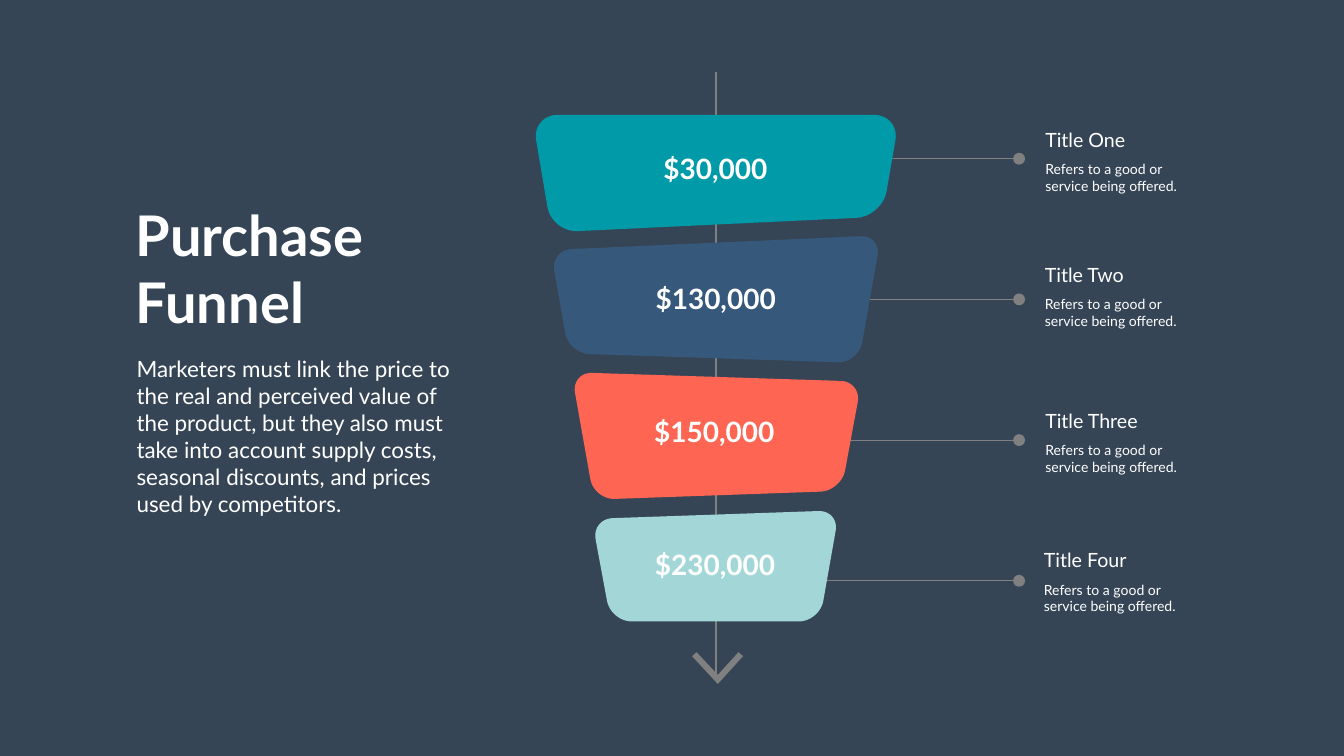
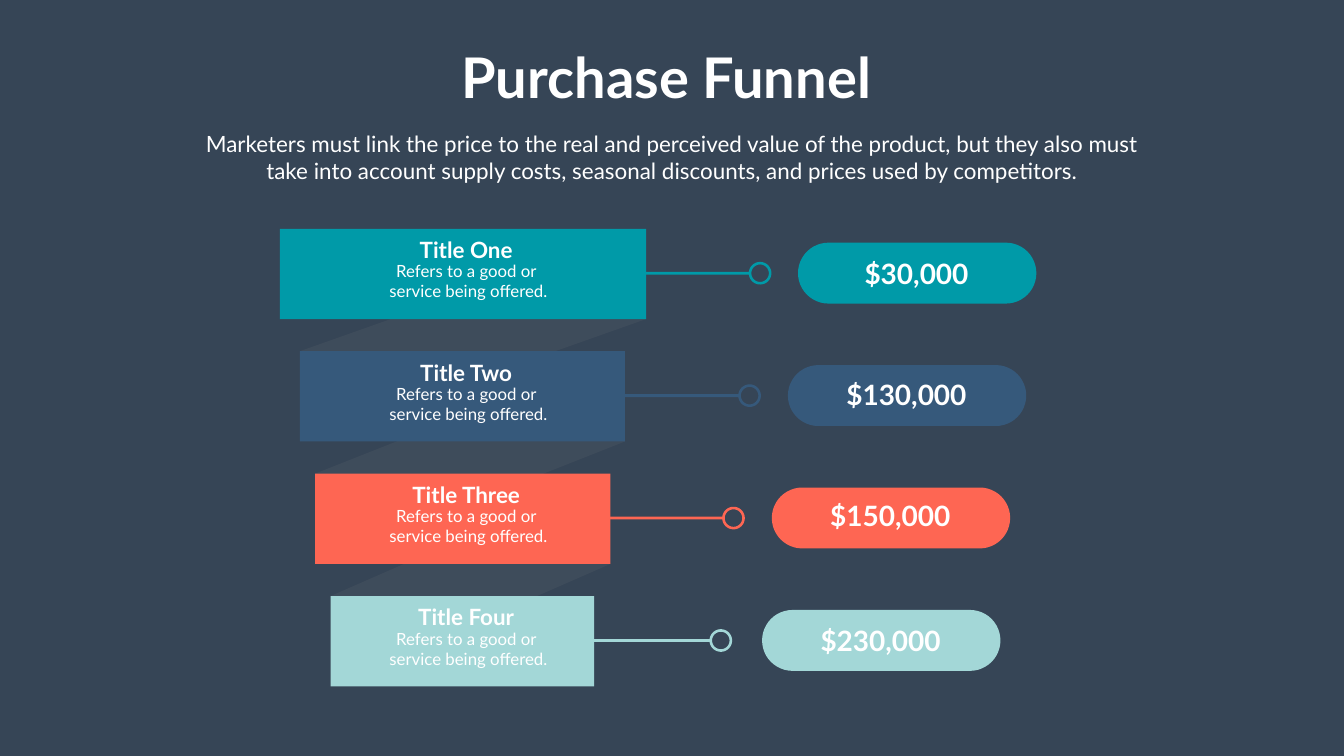
"""Build two purchase funnel slides."""
import math

from lxml import etree
from pptx import Presentation
from pptx import util as u
from pptx.dml.color import RGBColor
from pptx.enum import shapes, text
from pptx.oxml import ns

BACKGROUND, GREY, WHITE = "364556", "808080", "FFFFFF"
FONT = "Lato"
HEADING = "Purchase Funnel"
INTRO = (
    "Marketers must link the price to the real and perceived value of the product, "
    "but they also must take into account supply costs, seasonal discounts, "
    "and prices used by competitors."
)
DETAIL = ("Refers to a good or", "service being offered.")
STAGES = [
    ("Title One", "$30,000", "009AA8"),
    ("Title Two", "$130,000", "36597B"),
    ("Title Three", "$150,000", "FE6653"),
    ("Title Four", "$230,000", "A3D7D7"),
]
LEFT, CENTER = text.PP_ALIGN.LEFT, text.PP_ALIGN.CENTER


def color(value):
    """Return the colour for a hex string."""
    return RGBColor.from_string(value)


def cm(*values):
    """Return lengths in centimetres."""
    return [u.Cm(value) for value in values]


def write(shape, content, size, bold=False, align=LEFT, wrap=True):
    """Fill a shape with formatted text, one paragraph per line."""
    frame = shape.text_frame
    frame.text = content
    frame.word_wrap = wrap
    frame.auto_size = text.MSO_AUTO_SIZE.SHAPE_TO_FIT_TEXT
    frame.vertical_anchor = text.MSO_ANCHOR.TOP
    for paragraph in frame.paragraphs:
        paragraph.alignment = align
        font = paragraph.runs[0].font
        font.name, font.size, font.bold = FONT, u.Pt(size), bold
        font.color.rgb = color(WHITE)


def add_label(slide, box, content, size, **style):
    """Add a text box."""
    write(slide.shapes.add_textbox(*cm(*box)), content, size, **style)


def add_title(slide, box, **style):
    """Place and format the title placeholder."""
    title = slide.shapes.title
    title.left, title.top, title.width, title.height = cm(*box)
    write(title, HEADING, 80, bold=True, **style)


def add_price(slide, center, top, price):
    """Add a bold price centred on a given x position."""
    width = 0.83 * len(price)
    add_label(slide, (center - width / 2, top, width, 1.96), price, 40,
              bold=True, align=CENTER, wrap=False)


def paint(shape, fill, alpha=None):
    """Give a shape a plain fill without outline or shadow."""
    shape.shadow.inherit = False
    shape.fill.solid()
    shape.fill.fore_color.rgb = color(fill)
    shape.line.fill.background()
    if alpha is not None:
        rgb = shape.fill._xPr.find(".//" + ns.qn("a:srgbClr"))
        etree.SubElement(rgb, ns.qn("a:alpha")).set("val", str(alpha * 1000))


def add_shape(slide, kind, box, fill):
    """Add a painted preset shape."""
    shape = slide.shapes.add_shape(kind, *cm(*box))
    paint(shape, fill)
    return shape


def add_polygon(slide, points, fill, alpha=None, hole=()):
    """Add a painted closed outline, optionally with a hole."""
    start, *rest = [cm(*point) for point in points]
    builder = slide.shapes.build_freeform(*start)
    builder.add_line_segments(rest, close=True)
    if hole:
        start, *rest = [cm(*point) for point in hole]
        builder.move_to(*start)
        builder.add_line_segments(rest, close=True)
    paint(builder.convert_to_shape(), fill, alpha)


def add_line(slide, start, end, stroke, width):
    """Add a straight line without shadow."""
    line = slide.shapes.add_connector(
        shapes.MSO_CONNECTOR.STRAIGHT, *cm(*start, *end))
    line.line.color.rgb = color(stroke)
    line.line.width = u.Pt(width)
    etree.SubElement(line._element.spPr, ns.qn("a:effectLst"))


def toward(start, end, distance):
    """Return the point at a distance from start in the direction of end."""
    dx, dy = end[0] - start[0], end[1] - start[1]
    share = distance / math.hypot(dx, dy)
    return start[0] + dx * share, start[1] + dy * share


def round_corners(corners, radius, steps=12):
    """Return an outline whose corners are replaced by smooth curves."""
    points = []
    for index, corner in enumerate(corners):
        ends = corners[index - 1], corners[(index + 1) % len(corners)]
        controls = [toward(corner, ends[0], radius),
                    toward(corner, ends[0], radius * 0.45),
                    toward(corner, ends[1], radius * 0.45),
                    toward(corner, ends[1], radius)]
        for step in range(steps + 1):
            t = step / steps
            weights = [math.comb(3, k) * t ** k * (1 - t) ** (3 - k) for k in range(4)]
            points.append(tuple(sum(w * c[axis] for w, c in zip(weights, controls))
                                for axis in (0, 1)))
    return points


def circle(x, y, radius, gap=0, steps=48):
    """Return points around a circle, open by an angle on its left side."""
    angles = [math.pi + gap + step * (2 * math.pi - 2 * gap) / steps
              for step in range(steps + 1)]
    return [(x + radius * math.cos(a), y + radius * math.sin(a)) for a in angles]


def add_funnel(slide, left, top):
    """Draw the axis, its arrowhead and the four funnel segments."""
    segments = [
        (1.3, [(0, 2.16), (18.54, 2.16), (17.65, 7.29), (1, 8.08)]),
        (1.05, [(0.95, 8.97), (17.6, 8.23), (16.46, 14.66), (1.86, 14.18)]),
        (1.05, [(1.99, 15.13), (16.61, 15.6), (15.59, 21.11), (3.13, 21.55)]),
        (1.05, [(3.02, 22.52), (15.49, 22.09), (14.5, 27.69), (3.98, 27.69)]),
    ]
    arrowhead = [(8.07, 29.44), (8.3, 29.24), (9.37, 30.38),
                 (10.41, 29.24), (10.64, 29.44), (9.37, 30.84)]
    prices = [(9.25, 3.89), (9.26, 10.42), (9.19, 17.15), (9.23, 23.85)]

    def shift(points):
        """Move points to the funnel's corner."""
        return [(left + x, top + y) for x, y in points]

    axis = left + 9.27
    add_line(slide, (axis, top), (axis, top + 30.5), GREY, 2.89)
    add_polygon(slide, shift(arrowhead), GREY)
    for (_, price, fill), (radius, corners), (x, y) in zip(STAGES, segments, prices):
        add_polygon(slide, round_corners(shift(corners), radius), fill)
        add_price(slide, left + x, top + y, price)


def add_callouts(slide, left, top):
    """Draw the lines, dots and captions beside the funnel."""
    length, pitch, dot = 15.28, 7.09, 0.6
    captions = [(16.35, -1.7), (16.33, 5.11), (16.35, 12.47), (16.28, 19.48)]
    for index, ((name, _, _), (x, y)) in enumerate(zip(STAGES, captions)):
        level = top + index * pitch
        end = left + length
        add_line(slide, (left, level), (end, level), GREY, 1.45)
        add_shape(slide, shapes.MSO_SHAPE.OVAL,
                  (end - dot / 2, level - dot / 2, dot, dot), GREY)
        add_label(slide, (left + x, top + y, 5.4, 1.45), name, 28)
        add_label(slide, (left + x, top + y + 1.68, 7.3, 1.96), "\n".join(DETAIL), 20)


def add_pin(slide, center, level, fill):
    """Draw a bar that ends in an open ring as one outline."""
    length, half, outer, inner = 9.3, 0.07, 0.57, 0.44
    start = center - length
    ring = circle(center, level, outer, gap=math.asin(half / outer))
    outline = [(start, level - half), *ring, (start, level + half)]
    add_polygon(slide, outline, fill, hole=circle(center, level, inner)[:-1])


def add_steps(slide, left, top):
    """Draw the narrowing bars with their ribbons, pins and price pills."""
    pitch, height = 6.17, 4.55
    bars = [(0, 18.46), (1.01, 16.38), (1.78, 14.88), (2.56, 13.28)]
    rings = [24.2, 23.67, 22.86, 22.22]
    pills = [(26.11, 1.25), (25.6, 1.22), (24.79, 1.15), (24.3, 1.25)]
    tops = [top + index * pitch for index in range(len(STAGES))]

    for (_, _, fill), ring, y in zip(STAGES, rings, tops):
        add_pin(slide, left + ring, y + 2.24, fill)
    for (x, width), (next_x, _), y in zip(bars, bars[1:], tops):
        start, end = left + next_x, left + x + width
        add_polygon(slide, [(start, y + pitch), (end, y), (end, y + height),
                            (start, y + pitch + height)], GREY, alpha=12)
    for (name, price, fill), (x, width), (pill, drop), y in zip(STAGES, bars, pills, tops):
        add_shape(slide, shapes.MSO_SHAPE.RECTANGLE, (left + x, y, width, height), fill)
        add_label(slide, (left + 6.37, y + 0.25, 6.04, 1.63), name, 32,
                  bold=True, align=CENTER, wrap=False)
        add_label(slide, (left + 5.2, y + 1.5, 8.6, 2.31), " \n".join(DETAIL), 24,
                  align=CENTER, wrap=False)
        badge = add_shape(slide, shapes.MSO_SHAPE.ROUNDED_RECTANGLE,
                          (left + pill, y + 0.7, 12.01, 3.07), fill)
        badge.adjustments[0] = 0.5
        add_price(slide, left + pill + 5.97, y + drop, price)


def build_funnel_slide(slide):
    """Compose the slide with the text column and the funnel."""
    add_callouts(slide, 36.07, 8)
    add_funnel(slide, 26.8, 3.63)
    add_title(slide, (6.58, 9.96, 14.15, 7.09))
    add_label(slide, (6.63, 17.78, 16.84, 8.46), INTRO, 32)


def build_steps_slide(slide):
    """Compose the slide with the centred heading and the bars."""
    add_steps(slide, 14.1, 11.53)
    add_title(slide, (22.8, 2.03, 21.54, 3.68), align=CENTER, wrap=False)
    add_label(slide, (9.63, 6.43, 48.46, 3), INTRO, 32, align=CENTER)


def main():
    """Build and save the presentation."""
    presentation = Presentation()
    presentation.slide_width, presentation.slide_height = cm(67.72, 38.1)
    background = presentation.slide_master.background.fill
    background.solid()
    background.fore_color.rgb = color(BACKGROUND)
    for build in (build_funnel_slide, build_steps_slide):
        build(presentation.slides.add_slide(presentation.slide_layouts[5]))
    presentation.save("out.pptx")


if __name__ == "__main__":
    main()
